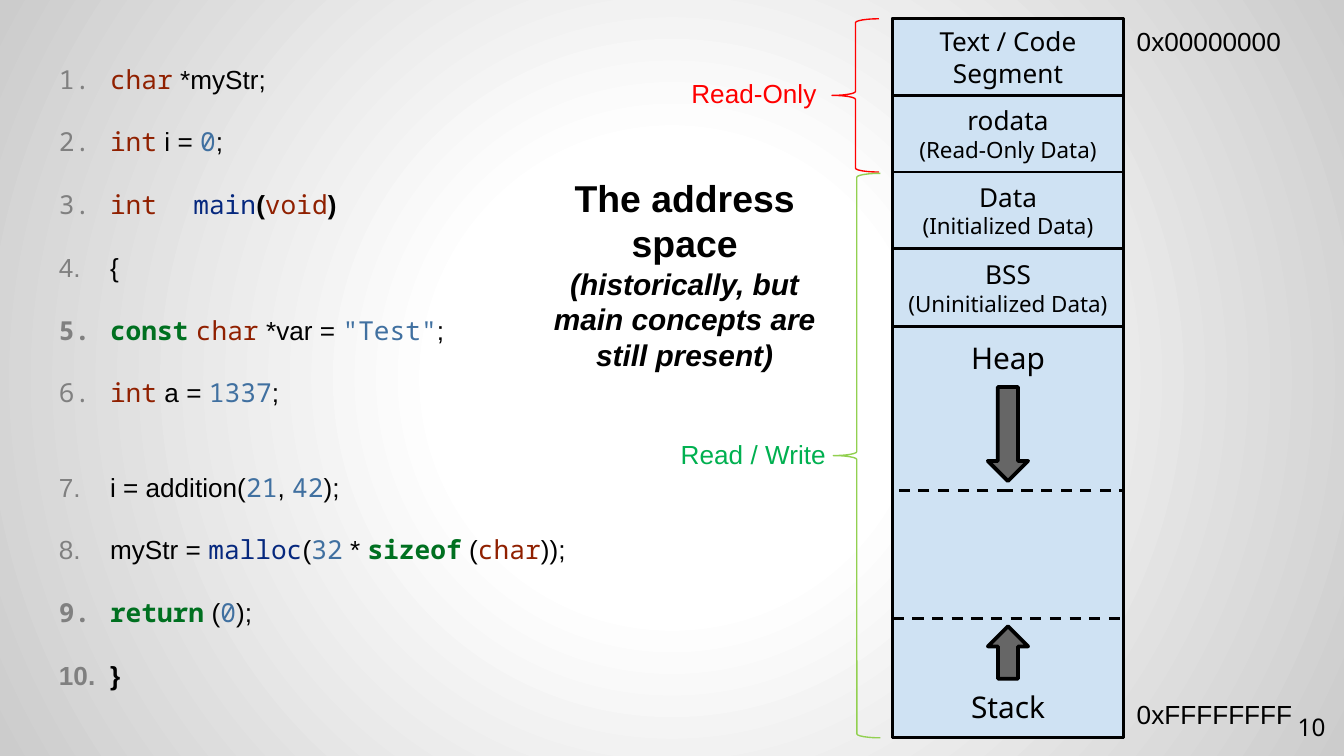
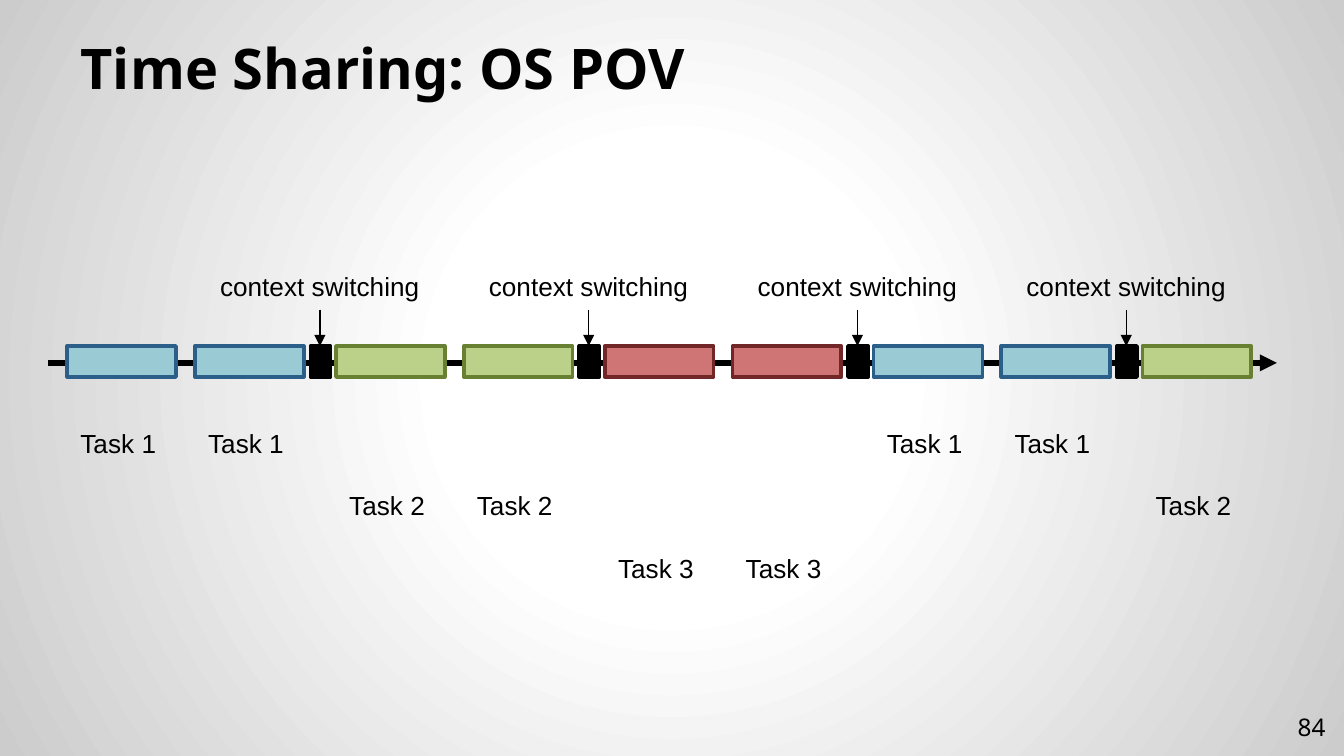
"""Build two operating-system slides: the address space and time sharing."""
from collections import namedtuple
from copy import deepcopy

from pptx import Presentation
from pptx.dml.color import RGBColor
from pptx.enum.dml import MSO_LINE
from pptx.enum.shapes import MSO_CONNECTOR, MSO_SHAPE as SHAPE
from pptx.enum.text import MSO_ANCHOR as ANCHOR, MSO_AUTO_SIZE as AUTO, PP_ALIGN as ALIGN
from pptx.oxml import parse_xml
from pptx.oxml.ns import nsdecls, qn
from pptx.util import Inches, Pt

C = dict(
    black="000000", white="FFFFFF", edge="CCCCCC", memory="CFE2F3", arrow="666666",
    red="FF0000", green="00B050", lime="92D050", number="808080",
    type="902000", literal="4070A0", name="06287E", keyword="007020",
)
SANS, MONO, BODY = "Noto Sans", "Noto Sans Mono", "Arial"
COLS, ROWS = 100, 56.25
CELL = Inches(10) / COLS
CODE_LINE = 16.8

Box = namedtuple("Box", "x y w h")

TOKENS = {
    "plain": dict(name=BODY),
    "strong": dict(name=BODY, bold=True),
    "type": dict(name=MONO, color="type"),
    "literal": dict(name=MONO, color="literal"),
    "name": dict(name=MONO, color="name"),
    "keyword": dict(name=MONO, color="keyword", bold=True),
}
CODE = [
    [("char", "type"), (" *myStr;", "plain")],
    [("int", "type"), (" i = ", "plain"), ("0", "literal"), (";", "plain")],
    [("int\t", "type"), ("main", "name"), ("(", "strong"), ("void", "type"), (")", "strong")],
    [("{", "plain")],
    [("const", "keyword"), (" ", "plain"), ("char", "type"), (" *var = ", "plain"),
     ('"Test"', "literal"), (";", "plain")],
    [("int", "type"), (" a = ", "plain"), ("1337", "literal"), (";", "plain")],
    [("i = addition(", "plain"), ("21", "literal"), (", ", "plain"),
     ("42", "literal"), (");", "plain")],
    [("myStr = ", "plain"), ("malloc", "name"), ("(", "plain"), ("32", "literal"),
     (" * ", "plain"), ("sizeof", "keyword"), (" (", "plain"), ("char", "type"),
     ("));", "plain")],
    [("return", "keyword"), (" (", "plain"), ("0", "literal"), (");", "plain")],
    [("}", "strong")],
]
CALL_LINE = 6

SEGMENTS = [
    (5.7, ["Text / Code Segment"]),
    (5.7, ["rodata", "(Read-Only Data)"]),
    (5.7, ["Data", "(Initialized Data)"]),
    (5.8, ["BSS", "(Uninitialized Data)"]),
]

TASK_COLORS = {1: ("9ACAD3", "2B5F8A"), 2: ("BBD189", "688031"), 3: ("D07576", "712627")}
SCHEDULE = [1, 1, 2, 2, 3, 3, 1, 1, 2]


def rgb(color):
    """Return the colour for a palette name or a hex string."""
    return RGBColor.from_string(C.get(color, color))


def within(box, x, y, w, h):
    """Return a box placed relative to the corner of another."""
    return Box(box.x + x, box.y + y, w, h)


def emu(box):
    """Turn grid cells into lengths."""
    return [round(v * CELL) for v in box]


def set_all(obj, **values):
    """Set attributes from format values."""
    for key, value in values.items():
        setattr(obj, key, value)


def add_run(p, text, size=14, color="black", **font):
    """Append a formatted run to a paragraph."""
    r = p.add_run()
    r.text = text
    set_all(r.font, **{"name": BODY, "size": Pt(size), **font})
    r.font.color.rgb = rgb(color)
    return r


def write(tf, runs, align=ALIGN.LEFT, anchor=ANCHOR.TOP, pad=None):
    """Fill a frame with one paragraph, one run on each line."""
    set_all(tf, word_wrap=True, vertical_anchor=anchor)
    if pad is not None:
        set_all(tf, **{f"margin_{side}": Inches(pad)
                       for side in ("left", "top", "right", "bottom")})
    p = tf.paragraphs[0]
    p.alignment = align
    for i, (text, font) in enumerate(runs):
        if i:
            p.add_line_break()
            p._p[-1].append(deepcopy(r._r.rPr))
        r = add_run(p, text, **font)


def add_label(s, box, text, align=ALIGN.LEFT, color="black"):
    """Add a one-line label."""
    tf = s.shapes.add_textbox(*emu(box)).text_frame
    write(tf, [(text, dict(color=color))], align)
    tf.auto_size = AUTO.SHAPE_TO_FIT_TEXT


def add_preset(shapes, kind, box, fill=None, line="black", width=1.5, dash=None):
    """Add a preset shape with a flat fill and outline."""
    sp = shapes.add_shape(kind, *emu(box))
    sp.shadow.inherit = False
    if fill:
        sp.fill.solid()
        sp.fill.fore_color.rgb = rgb(fill)
    else:
        sp.fill.background()
    sp.line.color.rgb = rgb(line)
    set_all(sp.line, width=Pt(width), dash_style=dash)
    return sp


def add_arrow(s, x1, y1, x2, y2, width):
    """Add a straight arrow."""
    ln = s.shapes.add_connector(MSO_CONNECTOR.STRAIGHT, *emu((x1, y1, x2, y2)))
    ln.line.color.rgb = rgb("black")
    ln.line.width = Pt(width)
    ln.line._get_or_add_ln().append(parse_xml(f'<a:tailEnd {nsdecls("a")} type="triangle"/>'))
    ln._element.spPr.append(parse_xml(f'<a:effectLst {nsdecls("a")}/>'))


def set_background(master):
    """Give the master a radial gradient."""
    master.background.fill.solid()
    stops = "".join(
        f'<a:gs pos="{pos}"><a:srgbClr val="{C[color]}"/></a:gs>'
        for pos, color in ((0, "white"), (30000, "white"), (100000, "edge")))
    grad = parse_xml(
        f'<a:gradFill {nsdecls("a")}><a:gsLst>{stops}</a:gsLst><a:path path="circle">'
        '<a:fillToRect l="50000" t="50000" r="50000" b="50000"/></a:path></a:gradFill>')
    bg = master.element.find(".//" + qn("p:bgPr"))
    bg.replace(bg[0], grad)


def add_slide(prs, layout, number):
    """Add a slide with its page number."""
    s = prs.slides.add_slide(prs.slide_layouts.get_by_name(layout))
    tf = s.shapes.add_textbox(*emu(Box(COLS - 6.4, ROWS - 4.3, 6, 4.3))).text_frame
    write(tf, [(number, dict(size=13, name=SANS))], ALIGN.RIGHT, ANCHOR.MIDDLE, 0.1)
    return s


def add_code(s, box):
    """Add the numbered program listing."""
    tf = s.shapes.add_textbox(*emu(box)).text_frame
    tf.word_wrap = True
    for i, tokens in enumerate(CODE):
        p = tf.paragraphs[0] if i == 0 else tf.add_paragraph()
        pPr = p._p.get_or_add_pPr()
        pPr.set("marL", str(Inches(0.38)))
        pPr.set("indent", str(Inches(-0.38)))
        pPr.append(parse_xml(
            f'<a:buClr {nsdecls("a")}><a:srgbClr val="{C["number"]}"/></a:buClr>'))
        pPr.append(parse_xml(f'<a:buAutoNum {nsdecls("a")} type="arabicPeriod"/>'))
        p.line_spacing = Pt(CODE_LINE)
        if i:
            p.space_before = Pt(CODE_LINE * (2 if i == CALL_LINE else 1))
        for text, kind in tokens:
            add_run(p, text, **TOKENS[kind])


def add_memory(s, box):
    """Add the column of memory segments."""
    shapes = s.shapes.add_group_shape().shapes
    add_preset(shapes, SHAPE.RECTANGLE, box, "memory")
    top = sum(height for height, _ in SEGMENTS)
    for text, y, height, anchor in (("Heap", top, 12.2, ANCHOR.TOP),
                                    ("Stack", box.h - 8.9, 8.9, ANCHOR.BOTTOM)):
        sp = add_preset(shapes, SHAPE.RECTANGLE, within(box, 0, y, box.w, height),
                        "memory", dash=MSO_LINE.DASH)
        write(sp.text_frame, [(text, dict(size=16, name=SANS))], ALIGN.CENTER, anchor, 0.1)
    top = 0
    for height, lines in SEGMENTS:
        sp = add_preset(shapes, SHAPE.RECTANGLE, within(box, 0, top, box.w, height), "memory")
        runs = [(t, dict(size=12 if i else 14, name=SANS)) for i, t in enumerate(lines)]
        write(sp.text_frame, runs, ALIGN.CENTER, ANCHOR.MIDDLE, 0.1)
        top += height
    add_preset(shapes, SHAPE.RECTANGLE, box)
    for y, height, turn in ((27.4, 7, 0), (45.2, 3.9, 180)):
        sp = add_preset(shapes, SHAPE.DOWN_ARROW,
                        within(box, box.w / 2 - 1.5, y, 3, height), "arrow", width=2)
        sp.rotation = turn


def add_access(s, box):
    """Add the braces, access rights and addresses around the memory column."""
    for x, y, h, color in ((-4.5, 0, 11.4, "red"), (-4.4, 11.5, 42, "lime")):
        add_preset(s.shapes, SHAPE.LEFT_BRACE, within(box, x, y, 3.5, h),
                   line=color, width=0.75)
    add_label(s, within(box, -16.1, 3.9, 11.6, 3.4), "Read-Only", ALIGN.CENTER, "red")
    add_label(s, within(box, -17.7, 30.7, 14.7, 3.4), "Read / Write", ALIGN.CENTER, "green")
    add_label(s, within(box, box.w, 0, 13.4, 3.4), "0x00000000")
    add_label(s, within(box, box.w, box.h - 3.4, 14.3, 3.4), "0xFFFFFFFF")


def add_heading(s, box):
    """Add the central heading of the address space."""
    tf = s.shapes.add_textbox(*emu(box)).text_frame
    write(tf, [("The address space", dict(size=20, bold=True)),
               ("(historically, but main concepts are still present)",
                dict(size=16, bold=True, italic=True))], ALIGN.CENTER, ANCHOR.MIDDLE)


def add_title(s, box, text):
    """Place and format the title placeholder."""
    sp = s.shapes.title
    set_all(sp, **dict(zip(("left", "top", "width", "height"), emu(box))))
    write(sp.text_frame, [(text, dict(size=30, name=SANS, bold=True))],
          anchor=ANCHOR.BOTTOM, pad=0.1)


def add_timeline(s, box):
    """Add the time axis with its tasks and context switches."""
    middle = box.y + box.h / 2 + 0.1
    add_arrow(s, box.x - 1.4, middle, box.x + box.w, middle, 3)
    for i, task in enumerate(SCHEDULE):
        x = 20 * (i // 2) + 9.5 * (i % 2)
        fill, line = TASK_COLORS[task]
        add_preset(s.shapes, SHAPE.RECTANGLE, within(box, x, 0, 8.1, box.h), fill, line, 2)
        add_label(s, within(box, x, 5.55 + 4.65 * (task - 1), 8.1, 3.4), f"Task {task}")
    for i in range(len(SCHEDULE) // 2):
        x = 18.1 + 20 * i
        add_preset(s.shapes, SHAPE.RECTANGLE, within(box, x, 0, 1.5, box.h), "black", width=2)
        add_label(s, within(box, x - 8, -6.1, 17.4, 3.4), "context switching", ALIGN.CENTER)
        center = box.x + x + 0.7
        add_arrow(s, center, box.y - 2.7, center, box.y, 0.75)


def address_space_slide(prs):
    """Build the slide on the address space."""
    s = add_slide(prs, "Blank", "10")
    memory = Box(66.4, 1.4, 17.2, 53.5)
    add_memory(s, memory)
    add_code(s, Box(3.4, 4.2, 43.8, 48.1))
    add_access(s, memory)
    add_heading(s, Box(39.6, 12.5, 22.7, 15.8))


def time_sharing_slide(prs):
    """Build the slide on time sharing."""
    s = add_slide(prs, "Title Only", "84")
    add_title(s, Box(5, 2.3, 90, 6.2), "Time Sharing: OS POV")
    add_timeline(s, Box(5, 25.75, 90, 2.3))


def main():
    """Build and save the presentation."""
    prs = Presentation()
    set_all(prs, slide_width=Inches(10), slide_height=round(ROWS * CELL))
    set_background(prs.slide_master)
    address_space_slide(prs)
    time_sharing_slide(prs)
    prs.save("out.pptx")


if __name__ == "__main__":
    main()
